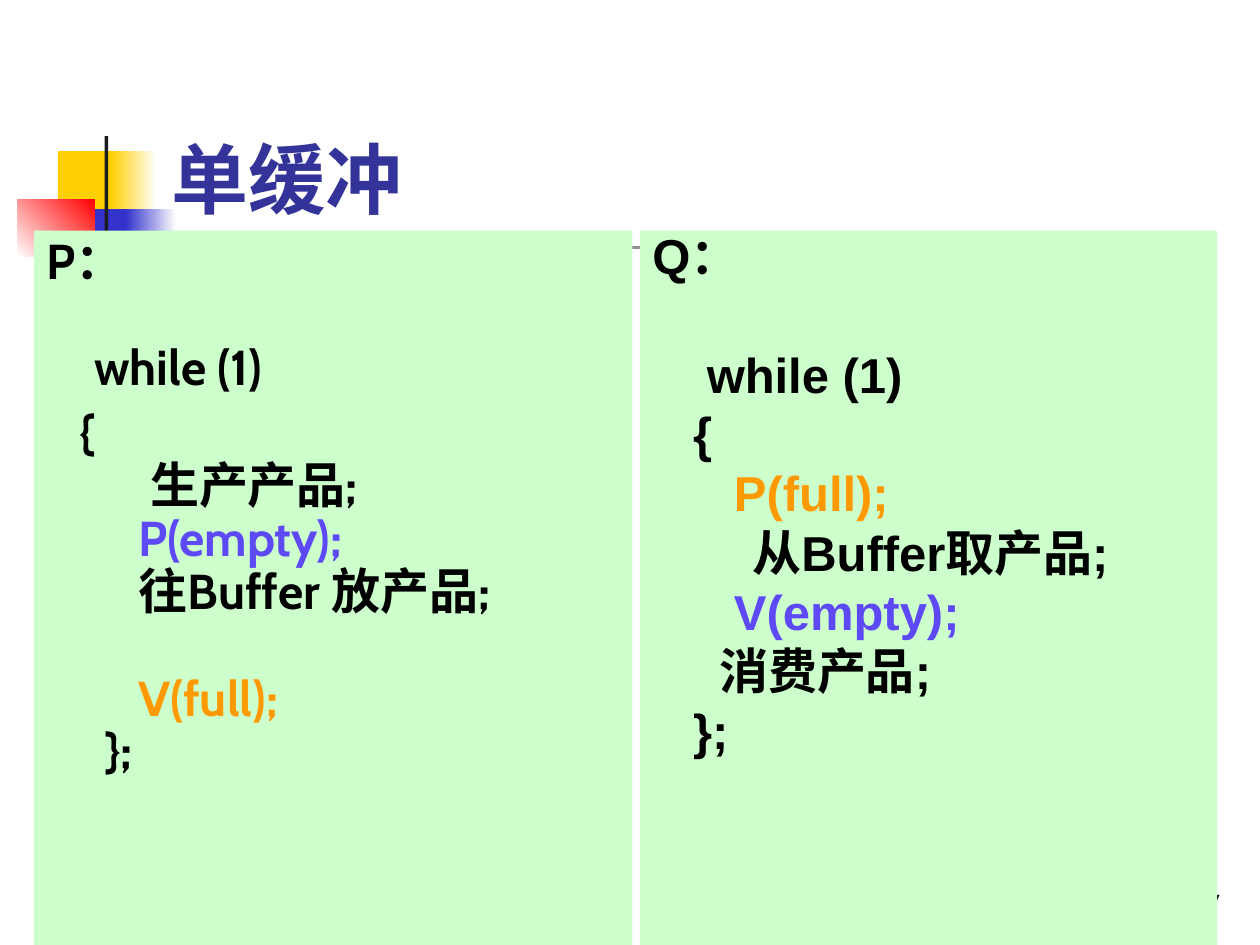
from dataclasses import dataclass

from pptx import Presentation
from pptx.dml.color import RGBColor
from pptx.enum.shapes import MSO_SHAPE
from pptx.enum.text import MSO_ANCHOR, PP_ALIGN
from pptx.util import Inches, Pt

BLACK, WHITE, GREEN = "000000", "FFFFFF", "CCFFCC"
YELLOW, BLUE, RED, DARK = "FFCF01", "3333CC", "FF0000", "1C1C1C"
EMPTY_COLOR, FULL_COLOR = "5E49F7", "FF9900"


@dataclass(frozen=True)
class Block:
    left: float
    top: float
    width: float
    height: float
    color: str
    end_color: str = ""
    angle: int = 0


@dataclass(frozen=True)
class Line:
    text: str
    color: str = BLACK
    before: float = 0
    indent: float = 0
    font: str = "Arial"
    size: int = 28
    bold: bool = True


@dataclass(frozen=True)
class Panel:
    block: Block
    spacing: float
    lines: tuple


DECORATION = (
    Block(0.46, 1.2, 0.48, 0.52, YELLOW),
    Block(0.88, 1.2, 0.36, 0.52, YELLOW, WHITE),
    Block(0.59, 1.66, 0.46, 0.52, BLUE),
    Block(1, 1.66, 0.4, 0.52, BLUE, WHITE),
    Block(0.14, 1.58, 0.61, 0.46, WHITE, RED, 45),
    Block(0.83, 1.08, 0.03, 1.15, DARK),
    Block(0.48, 1.95, 9, 0.03, DARK, WHITE),
)

CONSUMER = Panel(Block(5.08, 1.83, 4.58, 5.67, GREEN), 0.8, (
    Line("Q："),
    Line("    while (1)", before=41),
    Line("   {", before=7),
    Line("      P(full);", FULL_COLOR, 7),
    Line("         从Buffer取产品;", before=7),
    Line("      V(empty);", EMPTY_COLOR, 7),
    Line("      消费产品;", before=7),
    Line("   };", before=7),
))

PRODUCER = Panel(Block(0.27, 1.83, 4.75, 5.67, GREEN), 0.9, (
    Line("P：", font="Cabin"),
    Line("while (1)", before=30.6, indent=0.38, font="Cabin"),
    Line("   {", before=7, font="Cabin"),
    Line("    生产产品;", indent=0.47, font="Cabin"),
    Line("    P(empty);", EMPTY_COLOR, indent=0.38, font="Cabin"),
    Line("   往Buffer 放产品;", indent=0.47, font="Cabin"),
    Line("    V(full);", FULL_COLOR, 30.6, 0.38, "Cabin"),
    Line(" };", indent=0.38, font="Cabin"),
))


def rgb(color: str) -> RGBColor:
    """Turn a hex string into a colour."""
    return RGBColor.from_string(color)


def set_values(target, values: dict) -> None:
    """Set each named attribute on the target."""
    for name, value in values.items():
        setattr(target, name, value)


def draw_block(slide, block: Block):
    """Draw a borderless rectangle with a solid or gradient fill."""
    rectangle = slide.shapes.add_shape(
        MSO_SHAPE.RECTANGLE, Inches(block.left), Inches(block.top),
        Inches(block.width), Inches(block.height))
    rectangle.shadow.inherit = False
    rectangle.line.fill.background()
    if block.end_color:
        rectangle.fill.gradient()
        rectangle.fill.gradient_angle = block.angle
        for stop, color in zip(rectangle.fill.gradient_stops,
                               (block.color, block.end_color)):
            stop.color.rgb = rgb(color)
    else:
        rectangle.fill.solid()
        rectangle.fill.fore_color.rgb = rgb(block.color)
    return rectangle


def write_lines(frame, lines: tuple, anchor=MSO_ANCHOR.TOP,
                alignment=PP_ALIGN.LEFT, spacing: float = 1.0) -> None:
    """Write one paragraph per line into a text frame."""
    set_values(frame, {"word_wrap": True, "vertical_anchor": anchor})
    for index, line in enumerate(lines):
        paragraph = frame.add_paragraph() if index else frame.paragraphs[0]
        set_values(paragraph, {"alignment": alignment, "line_spacing": spacing,
                               "space_before": Pt(line.before)})
        if line.indent:
            paragraph._p.get_or_add_pPr().set("marL", str(Inches(line.indent)))
        run = paragraph.add_run()
        run.text = line.text
        set_values(run.font, {"name": line.font, "size": Pt(line.size),
                              "bold": line.bold})
        run.font.color.rgb = rgb(line.color)


def main() -> None:
    """Build the single-buffer slide."""
    deck = Presentation()
    set_values(deck, {"slide_width": Inches(10), "slide_height": Inches(7.5)})
    slide = deck.slides.add_slide(deck.slide_layouts[6])
    for block in DECORATION:
        draw_block(slide, block)

    page_number = slide.shapes.add_textbox(
        Inches(7.7), Inches(6.83), Inches(2.08), Inches(0.5))
    write_lines(page_number.text_frame,
                (Line("7", font="Cabin", size=14, bold=False),),
                MSO_ANCHOR.BOTTOM, PP_ALIGN.RIGHT)
    title = slide.shapes.add_textbox(
        Inches(1.26), Inches(0.23), Inches(8.52), Inches(1.6))
    write_lines(title.text_frame,
                (Line("单缓冲", "333399", font="Times New Roman", size=44),),
                MSO_ANCHOR.BOTTOM)

    for panel in (CONSUMER, PRODUCER):
        rectangle = draw_block(slide, panel.block)
        write_lines(rectangle.text_frame, panel.lines, spacing=panel.spacing)
    deck.save("out.pptx")


if __name__ == "__main__":
    main()
